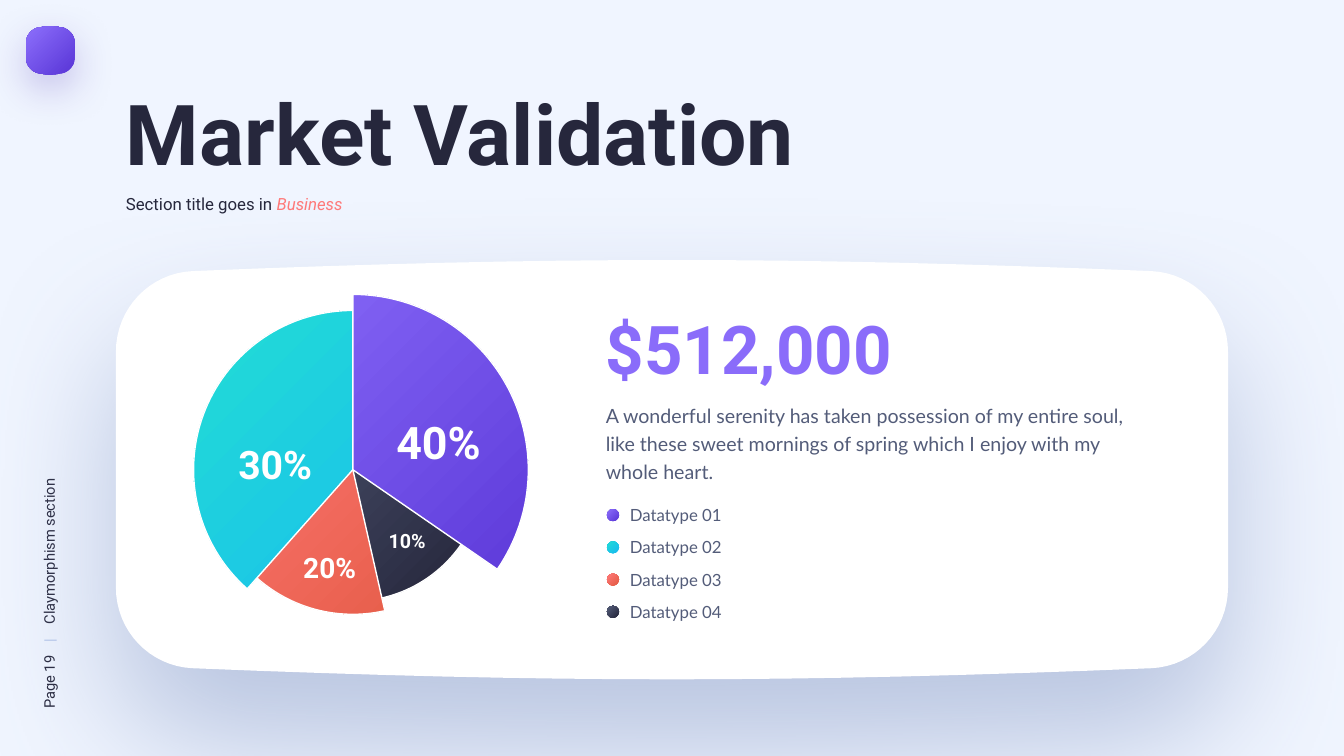
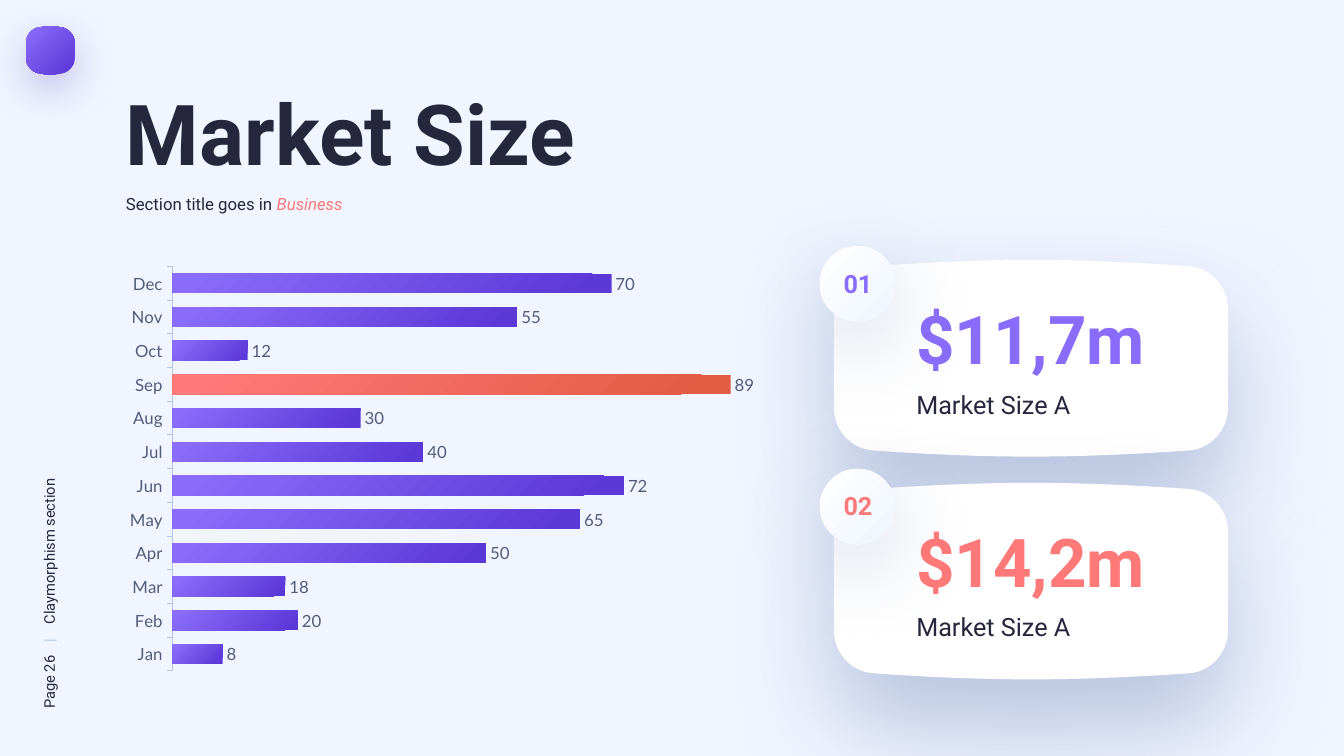
import lxml.etree
import pptx
import pptx.chart.data
import pptx.dml.color
import pptx.enum.chart
import pptx.enum.shapes
import pptx.enum.text
import pptx.oxml.ns
import pptx.util

Inches = pptx.util.Inches
Pt = pptx.util.Pt
SHAPES = pptx.enum.shapes.MSO_SHAPE
CENTER = pptx.enum.text.PP_ALIGN.CENTER

# Shared look
COLORS = {
    "background": "F0F5FF", "white": "FFFFFF", "ink": "26273C", "slate": "535C79",
    "coral": "FF7979", "divider": "B3C5EA", "card shadow": "93A4CB", "mark shadow": "3F21AB",
    "violet start": "8A6CFA", "violet end": "5B38D8", "aqua start": "21DAD7", "aqua end": "18BAF0",
    "ember end": "E45B44",
}
GRADIENTS = {
    "violet": ("violet start", "violet end"),
    "aqua": ("aqua start", "aqua end"),
    "ember": ("coral", "ember end"),
    "night": ("slate", "ink"),
    "badge": ("white", "background"),
}
# Shadow: colour, opacity %, blur pt, distance pt
SHADOWS = {
    "mark": ("mark shadow", 25, 30, 10),
    "wide card": ("card shadow", 60, 100, 49),
    "small card": ("card shadow", 60, 73, 35),
    "badge": ("card shadow", 40, 59, 16),
}
STYLES = {
    "title": {"size": Pt(60), "name": "Roboto", "bold": True},
    "subtitle": {"size": Pt(12), "name": "Roboto"},
    "accent": {"size": Pt(12), "name": "Roboto", "italic": True},
    "footer": {"size": Pt(10.5), "name": "Roboto"},
    "figure": {"size": Pt(48), "name": "Roboto", "bold": True},
    "body": {"size": Pt(14), "name": "Lato"},
    "legend": {"size": Pt(12), "name": "Lato"},
    "caption": {"size": Pt(18), "name": "Roboto"},
    "badge": {"size": Pt(18), "name": "Roboto", "bold": True},
}

# Content
SECTION = "Claymorphism section"
SUBTITLE = [("Section title goes in ", "subtitle", "ink"), ("Business", "accent", "coral")]

VALIDATION = {
    "title": "Market Validation", "page": "Page 19", "figure": "$512,000",
    "body": "A wonderful serenity has taken possession of my entire soul, like these sweet "
            "mornings of spring which I enjoy with my whole heart.",
}
PIE_CENTER = (3.5, 4.66)
# Slices from back to front: gradient, diameter, start and end in degrees
SLICES = [
    ("night", 2.61, 5.23, 310.12),
    ("ember", 2.87, 77.23, 310.12),
    ("aqua", 3.16, 131.53, 310.12),
    ("violet", 3.48, 270, 34.57),
]
# Slice labels: text, size in points, box
SLICE_LABELS = [
    ("40%", 32, (3.53, 4.07, 1.64, 0.64)),
    ("30%", 28, (1.91, 4.32, 1.64, 0.57)),
    ("20%", 20, (2.69, 5.41, 1.16, 0.44)),
    ("10%", 14, (3.46, 5.2, 1.16, 0.34)),
]
LEGEND = [("Datatype 01", "violet"), ("Datatype 02", "aqua"),
          ("Datatype 03", "ember"), ("Datatype 04", "night")]

SIZE = {"title": "Market Size", "page": "Page 26"}
MONTHS = [("Jan", 8), ("Feb", 20), ("Mar", 18), ("Apr", 50), ("May", 65), ("Jun", 72),
          ("Jul", 40), ("Aug", 30), ("Sep", 89), ("Oct", 12), ("Nov", 55), ("Dec", 70)]
PEAK_MONTH = "Sep"
MARKETS = [("01", "$11,7m", "Market Size A", "violet"),
           ("02", "$14,2m", "Market Size A", "ember")]


def rgb(name):
    return pptx.dml.color.RGBColor.from_string(COLORS[name])


def add_xml(parent, tag, **attributes):
    values = {key: str(value) for key, value in attributes.items()}
    return lxml.etree.SubElement(parent, pptx.oxml.ns.qn(tag), values)


def paint(fill, element, name):
    """Fill with a plain colour or a gradient."""
    if name not in GRADIENTS:
        fill.solid()
        fill.fore_color.rgb = rgb(name)
        return
    fill.gradient()
    for stop, color, position in zip(fill.gradient_stops, GRADIENTS[name], (0.05, 0.95)):
        stop.color.rgb = rgb(color)
        stop.position = position
    if name == "badge":
        fill.gradient_angle = 315
        return
    # Radial gradient that spreads from the top left corner
    for linear in element.xpath(".//a:gradFill/a:lin"):
        gradient = linear.getparent()
        radial = add_xml(gradient, "a:path", path="circle")
        add_xml(radial, "a:fillToRect", r=100000, b=100000)
        gradient.replace(linear, radial)


def finish(shape, fill, shadow=None, outline=None):
    paint(shape.fill, shape._element, fill)
    if outline:
        shape.line.color.rgb = rgb(outline)
        shape.line.width = Pt(1)
    else:
        shape.line.fill.background()
    shape.shadow.inherit = False
    if shadow:
        color, opacity, blur, distance = SHADOWS[shadow]
        effects = shape._element.spPr.find(pptx.oxml.ns.qn("a:effectLst"))
        outer = add_xml(effects, "a:outerShdw", blurRad=Pt(blur), dist=Pt(distance),
                        dir=90 * 60000, algn="t", rotWithShape=0)
        shade = add_xml(outer, "a:srgbClr", val=COLORS[color])
        add_xml(shade, "a:alpha", val=opacity * 1000)


def add_shape(slide, kind, box, fill, **look):
    shape = slide.shapes.add_shape(kind, *map(Inches, box))
    finish(shape, fill, **look)
    return shape


def add_text(slide, box, runs, alignment=None, line_spacing=None, tabs=()):
    """Runs are (text, style name or dict, colour)."""
    text_box = slide.shapes.add_textbox(*map(Inches, box))
    frame = text_box.text_frame
    frame.word_wrap = True
    frame.auto_size = pptx.enum.text.MSO_AUTO_SIZE.SHAPE_TO_FIT_TEXT
    paragraph = frame.paragraphs[0]
    paragraph.alignment = alignment
    paragraph.line_spacing = line_spacing
    if tabs:
        tab_list = add_xml(paragraph._p.get_or_add_pPr(), "a:tabLst")
        for position in tabs:
            add_xml(tab_list, "a:tab", pos=Inches(position), algn="l")
    for text, style, color in runs:
        run = paragraph.add_run()
        run.text = text
        for key, value in (STYLES[style] if isinstance(style, str) else style).items():
            setattr(run.font, key, value)
        paint(run.font.fill, run._r, color)
    return text_box


def bezier(points, steps=16):
    for step in range(steps + 1):
        t = step / steps
        weights = ((1 - t) ** 3, 3 * t * (1 - t) ** 2, 3 * t * t * (1 - t), t ** 3)
        yield tuple(sum(w * p[axis] for w, p in zip(weights, points)) for axis in (0, 1))


def add_pillow(slide, box, corner, fill, shadow):
    """Rounded card with arched top and bottom; corner is width, height, arch rise."""
    left, top, width, height = box
    corner_width, corner_height, rise = corner
    curve = list(bezier([(0, corner_height), (0, corner_height * 0.53),
                         (corner_width * 0.44, rise * 1.18), (corner_width, rise)]))
    arch = list(bezier([(corner_width, rise), (width * 0.395, -rise / 3),
                        (width * 0.605, -rise / 3), (width - corner_width, rise)]))
    upper = curve + arch + [(width - x, y) for x, y in reversed(curve)]
    outline = upper + [(x, height - y) for x, y in reversed(upper)]
    points = [(Inches(left + x), Inches(top + y)) for x, y in outline]
    builder = slide.shapes.build_freeform(*points[0])
    builder.add_line_segments(points[1:], close=True)
    finish(builder.convert_to_shape(), fill, shadow)


def add_base_slide(presentation, content):
    """Blank slide with page strip, corner mark, title and subtitle."""
    slide = presentation.slides.add_slide(presentation.slide_layouts[6])
    strip = add_text(slide, (-1.11, 5.38, 3.21, 0.29),
                     [(content["page"] + "\t", "footer", "ink"), ("|\t", "footer", "divider"),
                      (SECTION, "footer", "ink")], tabs=(0.66, 0.84))
    strip.rotation = 270
    add_pillow(slide, (0.26, 0.26, 0.48, 0.48), (0.15, 0.16, 0.01), "violet", "mark")
    add_text(slide, (1.15, 0.76, 8.58, 1.11), [(content["title"], "title", "ink")])
    add_text(slide, (1.15, 1.87, 3.56, 0.3), SUBTITLE)
    return slide


def build_validation(presentation):
    slide = add_base_slide(presentation, VALIDATION)
    add_pillow(slide, (1.15, 2.58, 11.03, 4.16), (0.76, 0.91, 0.11), "white", "wide card")

    # Pie with growing slices
    center_x, center_y = PIE_CENTER
    for gradient, diameter, start, end in SLICES:
        box = (center_x - diameter / 2, center_y - diameter / 2, diameter, diameter)
        slice_shape = add_shape(slide, SHAPES.PIE, box, gradient, outline="white")
        for index, degrees in enumerate((start, end)):
            slice_shape.adjustments[index] = degrees * 0.6  # 60000 units a degree
    for text, size, box in SLICE_LABELS:
        style = {"size": Pt(size), "name": "Roboto", "bold": True}
        add_text(slide, box, [(text, style, "white")], CENTER)

    # Figure, text and legend
    add_text(slide, (5.91, 3, 4.35, 0.91), [(VALIDATION["figure"], "figure", "violet")])
    add_text(slide, (5.91, 3.91, 5.61, 0.92), [(VALIDATION["body"], "body", "slate")],
             line_spacing=1.2)
    for index, (label, gradient) in enumerate(LEGEND):
        top = 4.96 + 0.32 * index
        add_shape(slide, SHAPES.OVAL, (6.02, top + 0.09, 0.12, 0.12), gradient)
        add_text(slide, (6.15, top, 1.33, 0.3), [(label, "legend", "slate")])


def style_font(font, size):
    for key, value in {"size": Pt(size), "name": "Lato"}.items():
        setattr(font, key, value)
    font.color.rgb = rgb("slate")


def add_month_chart(slide):
    chart_data = pptx.chart.data.CategoryChartData()
    chart_data.categories = [month for month, value in MONTHS]
    chart_data.add_series("Series 1", [value for month, value in MONTHS])
    chart = slide.shapes.add_chart(
        pptx.enum.chart.XL_CHART_TYPE.BAR_CLUSTERED,
        *map(Inches, (1.15, 2.56, 6.92, 4.18)), chart_data).chart
    chart.has_legend = False
    chart.has_title = False
    style_font(chart.font, 10)

    # Axes
    months = chart.category_axis
    months.has_major_gridlines = False
    months.major_tick_mark = pptx.enum.chart.XL_TICK_MARK.OUTSIDE
    months.format.line.color.rgb = rgb("divider")
    months.format.line.width = Pt(0.75)
    style_font(months.tick_labels.font, 12)
    for key, value in {"visible": False, "has_major_gridlines": False,
                       "minimum_scale": 0, "maximum_scale": 100}.items():
        setattr(chart.value_axis, key, value)

    # Bars and labels
    plot = chart.plots[0]
    plot.gap_width = 73
    plot.vary_by_categories = False
    series = plot.series[0]
    series.invert_if_negative = False
    paint(series.format.fill, series._element, "violet")
    peak = [month for month, value in MONTHS].index(PEAK_MONTH)
    paint(series.points[peak].format.fill, series._element, "ember")
    labels = series.data_labels
    labels.show_value = True
    labels.position = pptx.enum.chart.XL_LABEL_POSITION.OUTSIDE_END
    style_font(labels.font, 12)


def build_size(presentation):
    slide = add_base_slide(presentation, SIZE)
    add_month_chart(slide)

    # Market cards
    for index, (number, figure, caption, gradient) in enumerate(MARKETS):
        top = 2.58 + 2.21 * index
        add_pillow(slide, (8.27, top, 3.91, 1.95), (0.4, 0.49, 0.06), "white", "small card")
        add_shape(slide, SHAPES.OVAL, (8.13, top - 0.14, 0.75, 0.75), "badge", shadow="badge")
        add_text(slide, (8.16, top + 0.03, 0.7, 0.4), [(number, "badge", gradient)], CENTER)
        add_text(slide, (8.99, top + 0.32, 2.93, 0.91), [(figure, "figure", gradient)])
        add_text(slide, (8.99, top + 1.23, 2.93, 0.4), [(caption, "caption", "ink")])


def main():
    presentation = pptx.Presentation()
    presentation.slide_width = Inches(13.33)
    presentation.slide_height = Inches(7.5)
    background = presentation.slide_master.background.fill
    background.solid()
    background.fore_color.rgb = rgb("background")
    build_validation(presentation)
    build_size(presentation)
    presentation.save("out.pptx")


if __name__ == "__main__":
    main()
